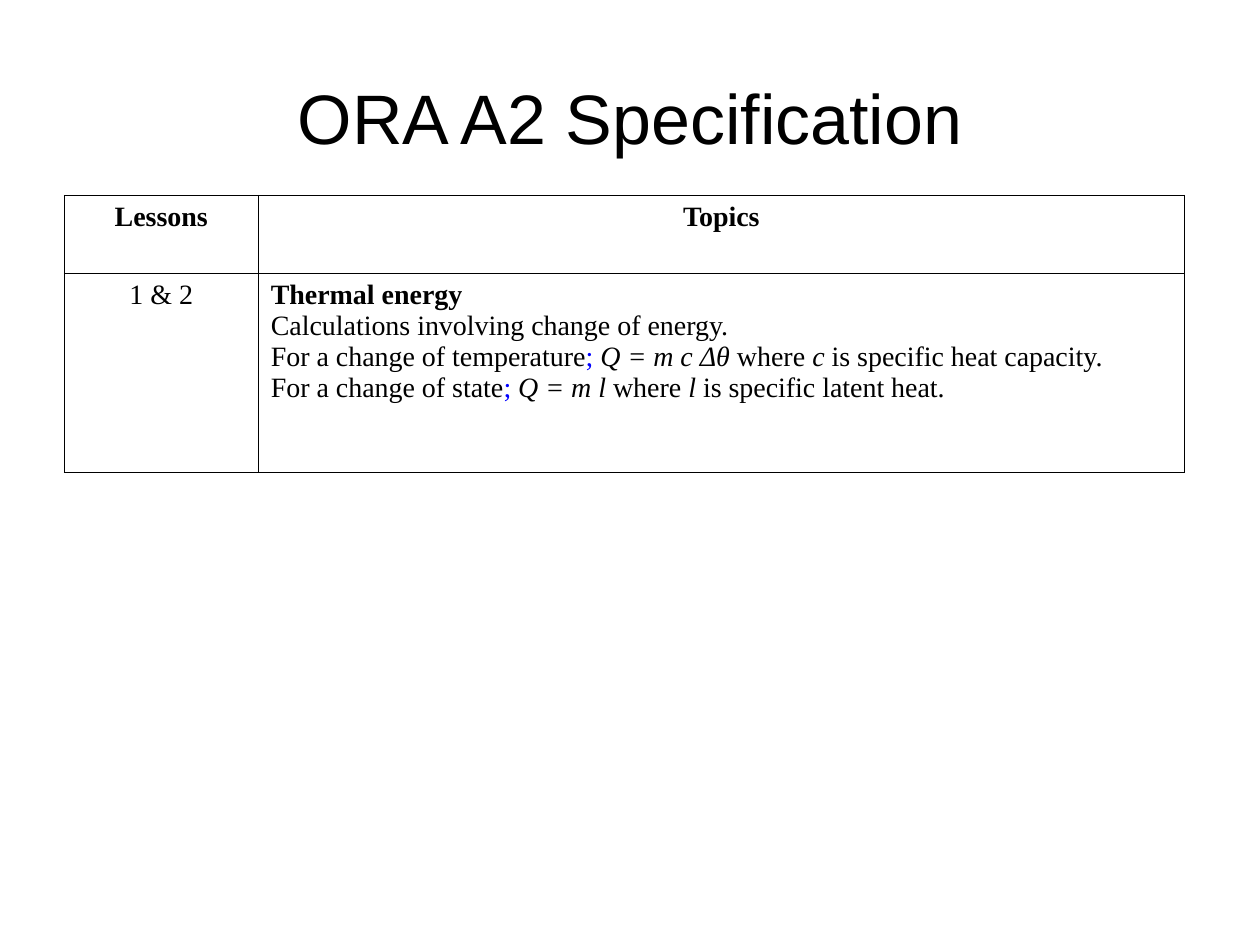
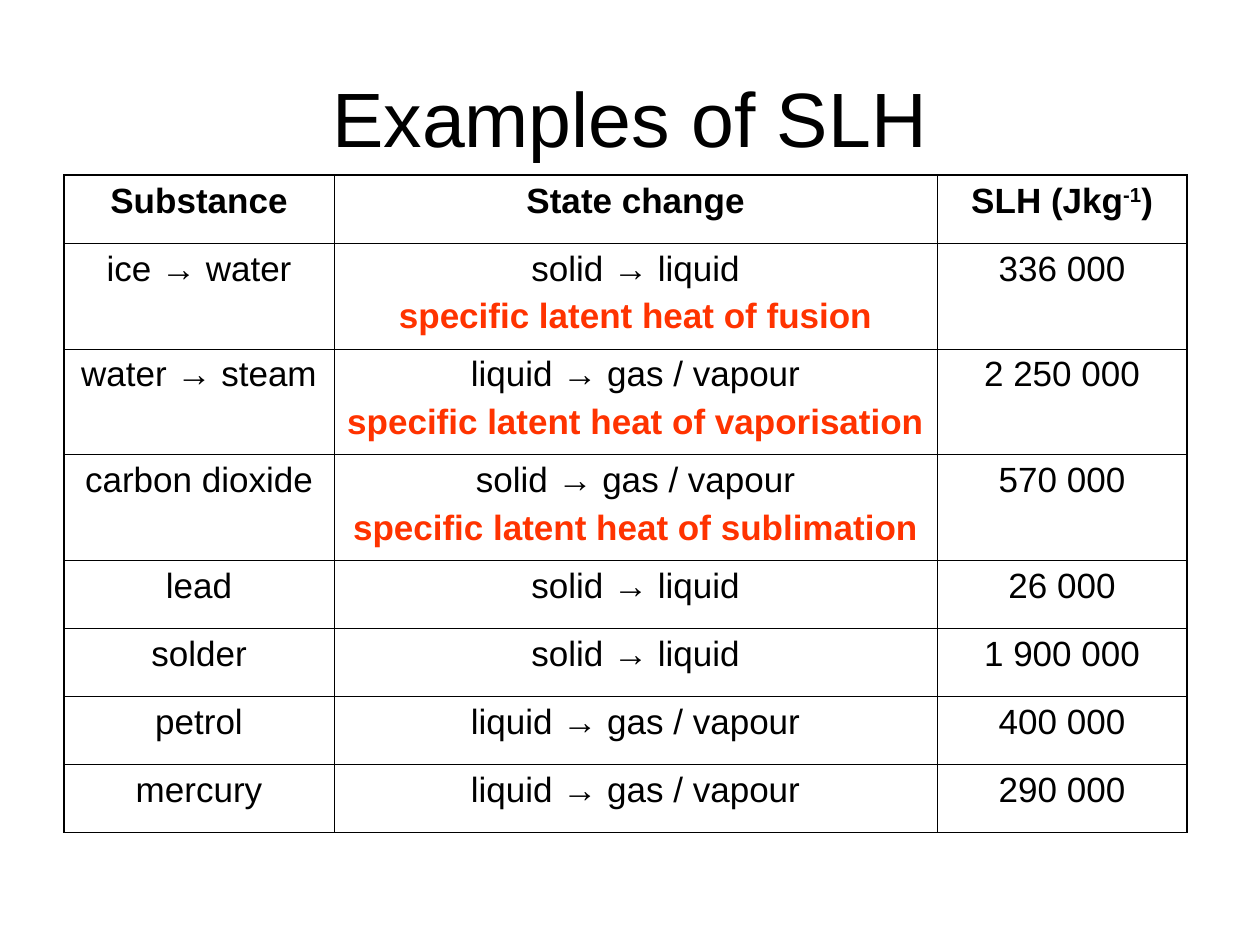
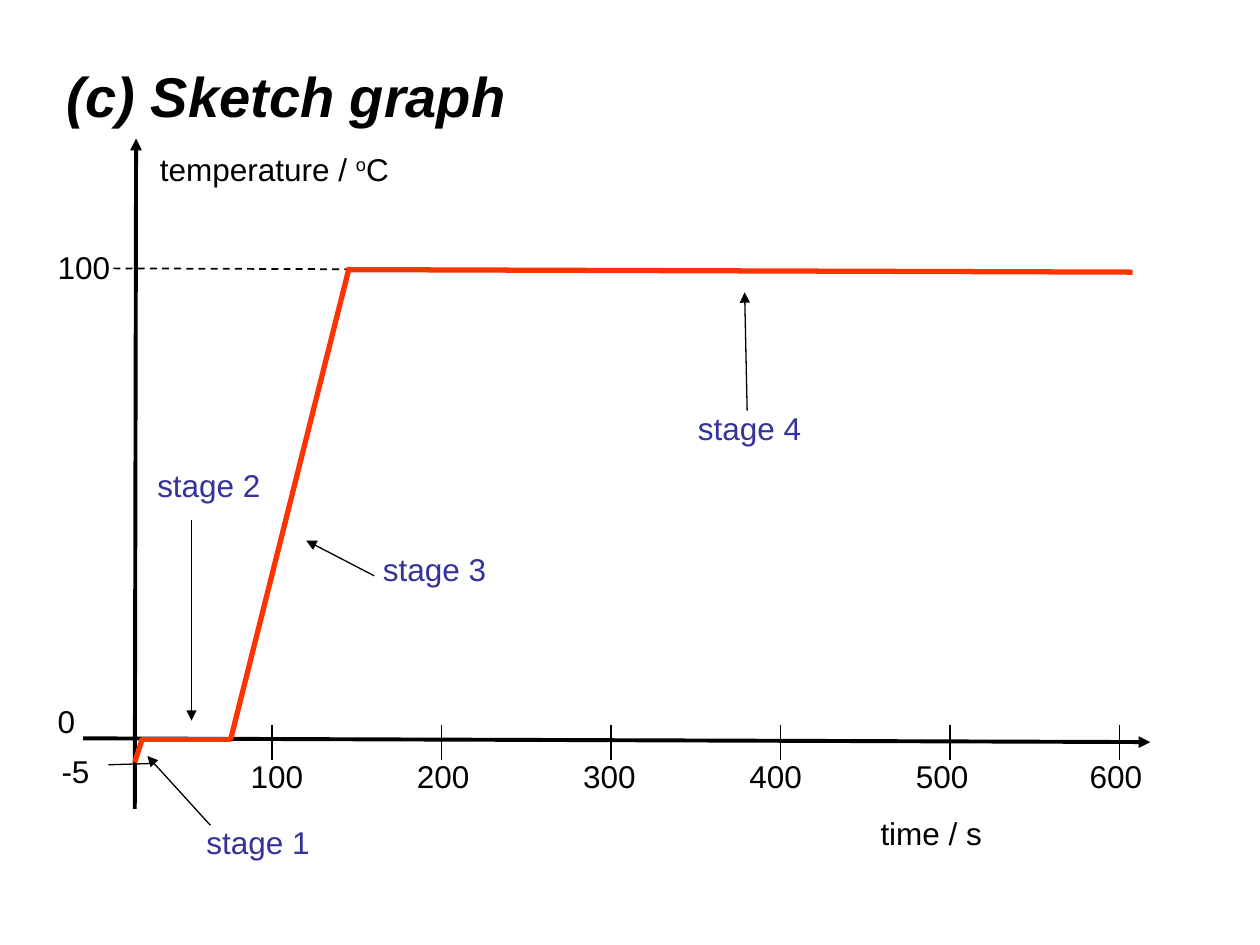
from lxml import etree
from pptx import Presentation
from pptx.dml.color import RGBColor
from pptx.enum.dml import MSO_LINE
from pptx.enum.shapes import MSO_CONNECTOR
from pptx.enum.text import MSO_ANCHOR, MSO_AUTO_SIZE, PP_ALIGN
from pptx.oxml.ns import qn
from pptx.util import Inches, Pt

LEFT, CENTER = PP_ALIGN.LEFT, PP_ALIGN.CENTER
TOP, MIDDLE = MSO_ANCHOR.TOP, MSO_ANCHOR.MIDDLE
STRAIGHT, DASH = MSO_CONNECTOR.STRAIGHT, MSO_LINE.DASH
NO_FIT = MSO_AUTO_SIZE.NONE

COLORS = {"black": "000000", "blue": "0000FF", "red": "FF3300", "navy": "333399"}
SANS, SERIF = "Arial", "Times New Roman"
TITLE_ONLY = 5
TITLE_BOX = (0.5, 0.3, 9, 1.25)
THIN, THICK = 0.45, 1.08  # table border widths

# Run formats
BOLD = {"bold": True}
ITALIC = {"italic": True}
RAISED = {"baseline": 30}
BLUE = {"color": "blue"}
RED_BOLD = {"color": "red", "bold": True}


# ---- Text ----
def add_tabs(p, stops):
    tabs = etree.SubElement(p._p.get_or_add_pPr(), qn("a:tabLst"))
    for stop in stops:
        etree.SubElement(tabs, qn("a:tab"), pos=str(Inches(stop)), algn="l")


def add_run(p, text, font=SANS, size=18, color="black", bold=False, italic=False,
            baseline=0):
    r = p.add_run()
    r.text = text
    r.font.name, r.font.size = font, Pt(size)
    r.font.bold, r.font.italic = bold, italic
    r.font.color.rgb = RGBColor.from_string(COLORS[color])
    if baseline:
        r._r.get_or_add_rPr().set("baseline", str(baseline * 1000))


def set_text(tf, paragraphs, align=LEFT, before=0, tabs=(), **fmt):
    """Each paragraph is a string or a list of strings and (string, format) runs."""
    if isinstance(paragraphs, str):
        paragraphs = [paragraphs]
    for i, runs in enumerate(paragraphs):
        p = tf.paragraphs[0] if i == 0 else tf.add_paragraph()
        p.alignment = align
        if i and before:
            p.space_before = Pt(before)
        if tabs:
            add_tabs(p, tabs[i])
        for run in [runs] if isinstance(runs, str) else runs:
            text, extra = (run, {}) if isinstance(run, str) else run
            add_run(p, text, **{**fmt, **extra})


def add_label(slide, x, y, w, paragraphs, h=0.4, wrap=False, **fmt):
    sp = slide.shapes.add_textbox(Inches(x), Inches(y), Inches(w), Inches(h))
    sp.text_frame.word_wrap = wrap
    set_text(sp.text_frame, paragraphs, **fmt)


def add_slide(prs, title, box=TITLE_BOX, anchor=MIDDLE, align=CENTER, **fmt):
    slide = prs.slides.add_slide(prs.slide_layouts[TITLE_ONLY])
    sp = slide.shapes.title
    sp.left, sp.top, sp.width, sp.height = map(Inches, box)
    tf = sp.text_frame
    tf.auto_size, tf.vertical_anchor = NO_FIT, anchor
    set_text(tf, title, align=align, **fmt)
    return slide


# ---- Tables ----
def set_borders(cell, widths):
    tcPr = cell._tc.get_or_add_tcPr()
    for side, width in zip("LRTB", widths):
        ln = etree.SubElement(tcPr, qn(f"a:ln{side}"), w=str(Pt(width)))
        fill = etree.SubElement(ln, qn("a:solidFill"))
        etree.SubElement(fill, qn("a:srgbClr"), val=COLORS["black"])


def add_table(slide, x, y, cols, rows, cells, outer=THIN, left_from=None, **fmt):
    """Draw a ruled table; columns from left_from on are left-aligned below the header."""
    table = slide.shapes.add_table(len(rows), len(cols), Inches(x), Inches(y),
                                   Inches(sum(cols)), Inches(sum(rows))).table
    table.first_row = table.horz_banding = False
    for col, width in zip(table.columns, cols):
        col.width = Inches(width)
    for row, height in zip(table.rows, rows):
        row.height = Inches(height)
    for i, row in enumerate(cells):
        for j, content in enumerate(row):
            cell = table.cell(i, j)
            is_left = left_from is not None and i > 0 and j >= left_from
            set_text(cell.text_frame, content, align=LEFT if is_left else CENTER,
                     **{**fmt, "bold": i == 0})
            edges = (j == 0, j == len(cols) - 1, i == 0, i == len(rows) - 1)
            set_borders(cell, [outer if edge else THIN for edge in edges])
            cell.fill.background()


# ---- Lines ----
def add_line(slide, start, end, width=0.75, color="black", arrow=False, dash=None):
    line = slide.shapes.add_connector(STRAIGHT, *map(Inches, (*start, *end)))
    line.line.width = Pt(width)
    line.line.color.rgb = RGBColor.from_string(COLORS[color])
    if dash:
        line.line.dash_style = dash
    if arrow:
        etree.SubElement(line.line._get_or_add_ln(), qn("a:tailEnd"), type="triangle")
    etree.SubElement(line._element.spPr, qn("a:effectLst"))


# ---- Slides ----
def specification_slide(prs):
    slide = add_slide(prs, "ORA A2 Specification", size=40)
    topics = [
        [("Thermal energy", BOLD)],
        "Calculations involving change of energy.",
        ["For a change of temperature", ("; ", BLUE), ("Q = m c Δθ", ITALIC),
         " where ", ("c ", ITALIC), "is specific heat capacity."],
        ["For a change of state", ("; ", BLUE), ("Q = m l ", ITALIC),
         "where ", ("l ", ITALIC), "is specific latent heat."],
    ]
    add_table(slide, 0.51, 1.55, (1.54, 7.35), (0.62, 1.58),
              [("Lessons", "Topics"), ("1 & 2", topics)],
              left_from=1, font=SERIF, size=16)


def latent_heat_slide(prs):
    slide = add_slide(prs, "Examples of SLH", size=44)
    melting, boiling, subliming = ("solid → liquid", "liquid → gas / vapour",
                                   "solid → gas / vapour")

    def named(change, name):
        return [change, [(f"specific latent heat of {name}", RED_BOLD)]]

    cells = [
        ("Substance", "State change", [["SLH (Jkg", ("-1", RAISED), ")"]]),
        ("ice → water", named(melting, "fusion"), "336 000"),
        ("water → steam", named(boiling, "vaporisation"), "2 250 000"),
        ("carbon dioxide", named(subliming, "sublimation"), "570 000"),
        ("lead", melting, "26 000"),
        ("solder", melting, "1 900 000"),
        ("petrol", boiling, "400 000"),
        ("mercury", boiling, "290 000"),
    ]
    rows = [0.54 if isinstance(change, str) else 0.84 for _, change, _ in cells]
    add_table(slide, 0.51, 1.39, (2.14, 4.79, 1.98), rows, cells,
              outer=THICK, before=5, size=20)


def sketch_graph_slide(prs):
    slide = add_slide(prs, "(c) Sketch graph", box=(0.43, 0.44, 9.14, 0.65),
                      anchor=TOP, align=LEFT, size=32, bold=True, italic=True)

    # Axes, ticks and guide lines
    add_line(slide, (1.07, 6.42), (1.08, 1.1), width=2.25, arrow=True)
    add_line(slide, (0.66, 5.86), (9.13, 5.89), width=2.25, arrow=True)
    for i in range(6):
        x = 2.16 + 1.345 * i
        add_line(slide, (x, 5.75), (x, 6.03))
    add_line(slide, (0.86, 6.07), (1.19, 6.06))
    add_line(slide, (0.9, 2.13), (9, 2.16), width=1, dash=DASH)

    # Axis labels
    add_label(slide, 1.89, 5.96, 7.9,
              ["100\t200\t300\t400\t500\t600", "\ttime / s"], h=0.86, wrap=True,
              before=11.2, tabs=[(1.32, 2.64, 3.96, 5.28, 6.66), (5,)])
    add_label(slide, 1.17, 1.14, 2.02, [["temperature / ", ("o", RAISED), "C"]])
    for y, value in ((1.92, "100"), (5.52, "0")):
        add_label(slide, 0.36, y, 0.7, value)
    add_label(slide, 0.39, 5.92, 0.5, "-5")

    # Heating stages: curve start and end, label corner, arrow start and end
    stages = [
        ((1.07, 6.05), (1.13, 5.86), (1.54, 6.48), (1.67, 6.55), (1.17, 6)),
        ((1.12, 5.87), (1.83, 5.87), (1.15, 3.65), (1.52, 4.13), (1.52, 5.72)),
        ((1.83, 5.87), (2.77, 2.13), (2.94, 4.32), (2.97, 4.57), (2.43, 4.29)),
        ((2.75, 2.14), (8.99, 2.16), (5.44, 3.2), (5.93, 3.26), (5.91, 2.32)),
    ]
    for n, (start, end, corner, arrow_start, arrow_end) in enumerate(stages, 1):
        add_line(slide, start, end, width=3, color="red")
        add_label(slide, *corner, 1.1, f"stage {n}", color="navy")
        add_line(slide, arrow_start, arrow_end, arrow=True)


def main():
    prs = Presentation()
    prs.slide_width, prs.slide_height = Inches(10), Inches(7.5)
    specification_slide(prs)
    latent_heat_slide(prs)
    sketch_graph_slide(prs)
    prs.save("out.pptx")


if __name__ == "__main__":
    main()
